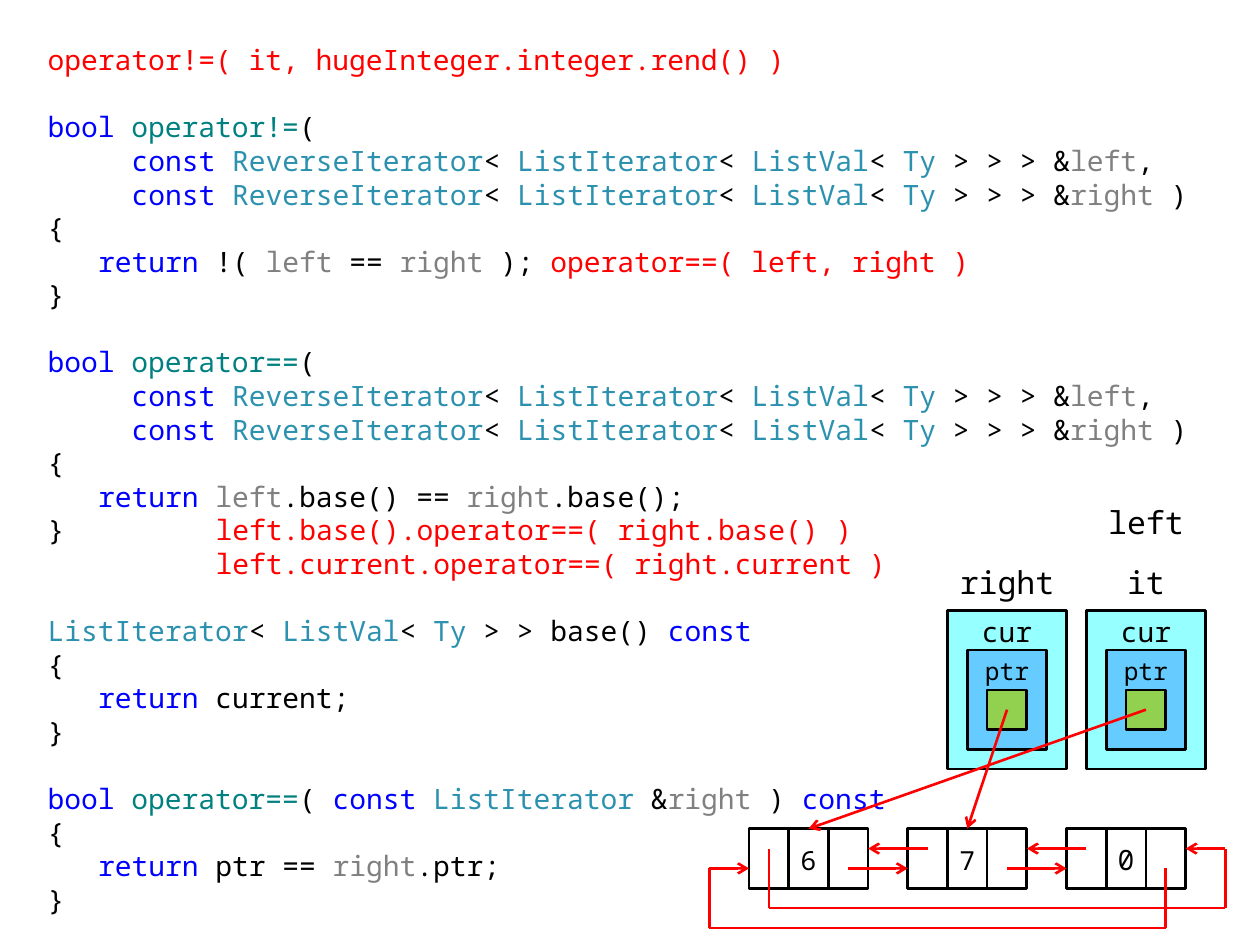
"""Builds the slide on comparing reverse iterators of a linked list."""
from dataclasses import dataclass
from typing import NamedTuple

from lxml.etree import SubElement
from pptx import Presentation
from pptx.dml.color import RGBColor
from pptx.enum.shapes import MSO_CONNECTOR, MSO_SHAPE
from pptx.enum.text import MSO_ANCHOR as Anchor, PP_ALIGN as Align
from pptx.oxml.ns import qn
from pptx.util import Inches, Pt

COLORS = {
    "red": "FF0000", "keyword": "0000FF", "operator": "008080", "type": "2B91AF",
    "param": "808080", "plain": "000000", "iterator": "96FFFF",
    "current": "66CCFF", "pointer": "92D050",
}
FONT = "Noto Sans Mono"
CODE_SIZE, CODE_PITCH, CHAR_WIDTH = 16, 19.2, 9.6
GRID_LEFT, GRID_TOP, GRID_STEP = 5.63, 3.9, 1.26 / 8


class Run(NamedTuple):
    text: str
    color: str = "plain"


@dataclass
class CodeLine:
    runs: list[Run]
    indent: int = 0
    hanging: int = 0
    gap: bool = False


@dataclass
class Box:
    col: int
    row: int
    width: int
    height: int
    text: str = ""
    size: int = 16
    fill: str = ""
    outlined: bool = True
    preset: MSO_SHAPE = MSO_SHAPE.RECTANGLE


class Link(NamedTuple):
    start: tuple[int, int]
    end: tuple[int, int]
    arrow: bool = True


def color(name: str) -> RGBColor:
    return RGBColor.from_string(COLORS[name])


def grid_x(col: float) -> int:
    return Inches(GRID_LEFT + col * GRID_STEP)


def grid_y(row: float) -> int:
    return Inches(GRID_TOP + row * GRID_STEP)


def style(run, size: int, name: str) -> None:
    run.font.name = FONT
    run.font.size = Pt(size)
    run.font.color.rgb = color(name)


def draw_code(slide, lines: list[CodeLine]) -> None:
    frame = slide.shapes.add_textbox(
        Inches(0.28), Inches(0.29), Inches(9.45), Inches(7.09)).text_frame
    frame.word_wrap = True
    for number, line in enumerate(lines):
        paragraph = frame.add_paragraph() if number else frame.paragraphs[0]
        paragraph.line_spacing = Pt(CODE_PITCH)
        paragraph.space_before = Pt(CODE_PITCH if line.gap else 0)
        properties = paragraph._p.get_or_add_pPr()
        properties.set("marL", str(Pt(line.indent * CHAR_WIDTH)))
        properties.set("indent", str(-Pt(line.hanging * CHAR_WIDTH)))
        for part in line.runs:
            run = paragraph.add_run()
            run.text = part.text
            style(run, CODE_SIZE, part.color)


def write_centered(shape, text: str, size: int) -> None:
    frame = shape.text_frame
    frame.margin_left = frame.margin_right = 0
    frame.margin_top, frame.margin_bottom = Inches(0.06), Inches(0.04)
    frame.vertical_anchor = Anchor.MIDDLE
    frame.word_wrap = True
    frame.text = text
    frame.paragraphs[0].alignment = Align.CENTER
    for run in frame.paragraphs[0].runs:
        style(run, size, "plain")


def draw_box(slide, box: Box) -> None:
    place = (grid_x(box.col), grid_y(box.row),
             Inches(box.width * GRID_STEP), Inches(box.height * GRID_STEP))
    if not box.outlined:
        write_centered(slide.shapes.add_textbox(*place), box.text, box.size)
        return
    shape = slide.shapes.add_shape(box.preset, *place)
    shape.shadow.inherit = False
    if box.fill:
        shape.fill.solid()
        shape.fill.fore_color.rgb = color(box.fill)
    else:
        shape.fill.background()
    shape.line.color.rgb = color("plain")
    shape.line.width = Pt(1.5)
    if box.text:
        write_centered(shape, box.text, box.size)


def draw_link(slide, link: Link) -> None:
    (x1, y1), (x2, y2) = link.start, link.end
    connector = slide.shapes.add_connector(
        MSO_CONNECTOR.STRAIGHT, grid_x(x1), grid_y(y1), grid_x(x2), grid_y(y2))
    connector.line.color.rgb = color("red")
    connector.line.width = Pt(1.5)
    if link.arrow:
        SubElement(connector.line._get_or_add_ln(), qn("a:tailEnd"), type="arrow")
    SubElement(connector._element.spPr, qn("a:effectLst"))


def iterator_boxes(col: int) -> list[Box]:
    process = MSO_SHAPE.FLOWCHART_PROCESS
    return [
        Box(col, 6, 6, 8, fill="iterator", preset=process),
        Box(col + 1, 8, 4, 5, fill="current", preset=process),
        Box(col + 1, 8, 4, 2, "ptr", 14, outlined=False),
        Box(col + 2, 10, 2, 2, fill="pointer"),
        Box(col + 1, 6, 4, 2, "cur", 16, outlined=False),
    ]


def node_boxes(col: int, value: str, size: int) -> list[Box]:
    return [Box(col + 2 * cell, 17, 2, 3, text, size)
            for cell, text in enumerate(("", value, ""))]


def parameter(name: str, ending: str) -> CodeLine:
    return CodeLine([
        Run("const ", "keyword"), Run("ReverseIterator", "type"), Run("< "),
        Run("ListIterator", "type"), Run("< "), Run("ListVal", "type"), Run("< "),
        Run("Ty", "type"), Run(" > > > &"), Run(name, "param"), Run(ending)], 5)


def signature(operator: str) -> list[CodeLine]:
    return [
        CodeLine([Run("bool ", "keyword"), Run(operator, "operator"), Run("(")], gap=True),
        parameter("left", ","), parameter("right", " )"), OPEN]


def returning(*runs: Run) -> CodeLine:
    return CodeLine([Run("return ", "keyword"), *runs], 3)


OPEN, CLOSE = CodeLine([Run("{")]), CodeLine([Run("}")])
LEFT, RIGHT = Run("left", "param"), Run("right", "param")
CODE = [
    CodeLine([Run("operator!=( it, hugeInteger.integer.rend() )", "red")]),
    *signature("operator!="),
    returning(Run("!( "), LEFT, Run(" == "), RIGHT, Run(" ); "),
              Run("operator==( left, right )", "red")),
    CLOSE,
    *signature("operator=="),
    returning(LEFT, Run(".base() == "), RIGHT, Run(".base();")),
    CodeLine([Run("}\t"), Run("left.base().operator==( right.base() )", "red")], 10, 10),
    CodeLine([Run("left.current.operator==( right.current )", "red")], 10),
    CodeLine([Run("ListIterator", "type"), Run("< "), Run("ListVal", "type"), Run("< "),
              Run("Ty", "type"), Run(" > > base() "), Run("const", "keyword")], gap=True),
    OPEN, returning(Run("current;")), CLOSE,
    CodeLine([Run("bool ", "keyword"), Run("operator==", "operator"), Run("( "),
              Run("const ", "keyword"), Run("ListIterator", "type"), Run(" &"), RIGHT,
              Run(" ) "), Run("const", "keyword")], gap=True),
    OPEN, returning(Run("ptr == "), RIGHT, Run(".ptr;")), CLOSE,
]
BOXES = [
    *node_boxes(2, "6", 15), *node_boxes(10, "7", 15), *node_boxes(18, "0", 16),
    *iterator_boxes(12), *iterator_boxes(19),
    Box(20, 3, 4, 3, "it", 18, outlined=False),
    Box(12, 3, 6, 3, "right", 18, outlined=False),
    Box(19, 0, 6, 3, "left", 18, outlined=False),
]
LINKS = [
    Link((23, 19), (23, 22), False), Link((23, 22), (0, 22), False),
    Link((0, 22), (0, 19), False), Link((0, 19), (2, 19)),
    Link((3, 18), (3, 21), False), Link((3, 21), (26, 21), False),
    Link((26, 21), (26, 18), False), Link((26, 18), (24, 18)),
    *(Link((col + 3, 18), (col, 18)) for col in (8, 16)),
    *(Link((col, 19), (col + 3, 19)) for col in (7, 15)),
    Link((15, 11), (13, 17)), Link((22, 11), (5, 17)),
]

deck = Presentation()
deck.slide_width, deck.slide_height = Inches(10), Inches(7.5)
page = deck.slides.add_slide(deck.slide_layouts[6])
draw_code(page, CODE)
for item in BOXES:
    draw_box(page, item)
for item in LINKS:
    draw_link(page, item)
deck.save("out.pptx")
